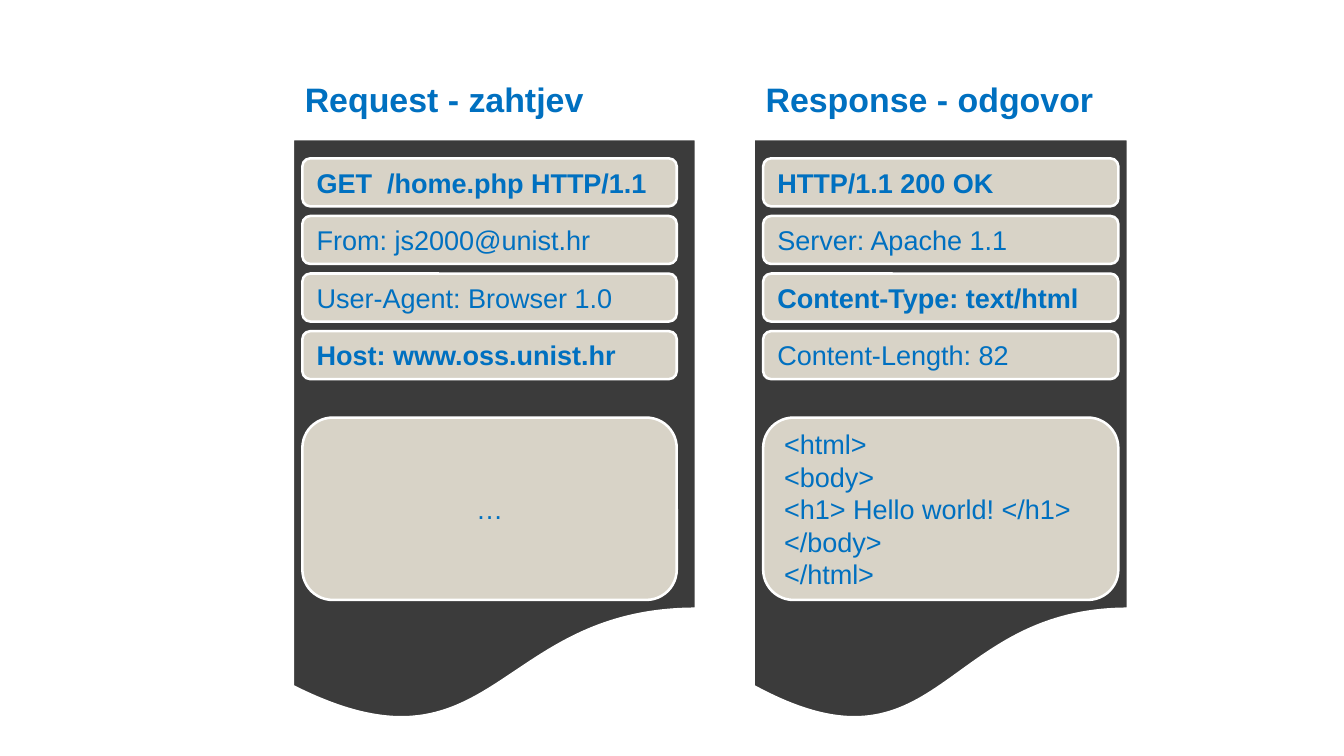
from pptx import Presentation
from pptx.dml.color import RGBColor
from pptx.enum.shapes import MSO_SHAPE as Kind
from pptx.enum.text import MSO_ANCHOR as Anchor, MSO_AUTO_SIZE as Fit, PP_ALIGN as Align
from pptx.util import Cm, Pt

BLUE, DARK, SAND, WHITE = "0070C0", "3B3B3B", "D8D3C7", "FFFFFF"

TOP, PAD = 2.9, 0.2
ROW_TOP, ROW_H, STEP = 3.3, 1, 1.2
BODY_TOP, BODY_H = 8.7, 3.8

# Header lines are (text, bold)
REQUEST = [
    ("GET  /home.php HTTP/1.1", True),
    ("From: js2000@unist.hr", False),
    ("User-Agent: Browser 1.0", False),
    ("Host: www.oss.unist.hr", True),
]
RESPONSE = [
    ("HTTP/1.1 200 OK", True),
    ("Server: Apache 1.1", False),
    ("Content-Type: text/html", True),
    ("Content-Length: 82", False),
]
HTML = ["<html>", "<body>", "<h1> Hello world! </h1>", "</body>", "</html>"]


def color(code):
    return RGBColor.from_string(code)


def write(frame, lines, size, bold=False, align=Align.LEFT):
    """Fill a text frame with one paragraph per line."""
    frame.word_wrap = True
    for i, line in enumerate(lines):
        para = frame.add_paragraph() if i else frame.paragraphs[0]
        para.alignment = align
        run = para.add_run()
        run.text = line
        font = run.font
        font.name, font.size, font.bold = "Arial", Pt(size), bold
        font.color.rgb = color(BLUE)


def add_box(slide, kind, left, top, width, height, fill):
    box = slide.shapes.add_shape(kind, Cm(left), Cm(top), Cm(width), Cm(height))
    box.shadow.inherit = False
    box.fill.solid()
    box.fill.fore_color.rgb = color(fill)
    box.line.color.rgb = color(WHITE)
    box.line.width = Pt(1.5)
    return box


def add_card(slide, left, top, width, height, lines, bold=False, align=Align.LEFT):
    card = add_box(slide, Kind.ROUNDED_RECTANGLE, left, top, width, height, SAND)
    card.text_frame.vertical_anchor = Anchor.MIDDLE
    write(card.text_frame, lines, 16, bold, align)


def add_title(slide, left, width, text):
    box = slide.shapes.add_textbox(Cm(left), Cm(1.51), Cm(width), Cm(1.11))
    write(box.text_frame, [text], 20, True)
    box.text_frame.auto_size = Fit.SHAPE_TO_FIT_TEXT


def add_message(slide, left, width, inner, title, heads, body, align):
    """Draw one HTTP message: title, sheet, header rows and body."""
    add_title(slide, left, width, title)
    add_box(slide, Kind.FLOWCHART_DOCUMENT, left, TOP, width, 12.2, DARK)
    for i, (text, bold) in enumerate(heads):
        add_card(slide, left + PAD, ROW_TOP + i * STEP, inner, ROW_H, [text], bold)
    add_card(slide, left + PAD, BODY_TOP, inner, BODY_H, body, align=align)


def main():
    deck = Presentation()
    deck.slide_width, deck.slide_height = Cm(28), Cm(15.75)
    slide = deck.slides.add_slide(deck.slide_layouts[6])
    add_message(slide, 6.1, 8.4, 7.8, "Request - zahtjev", REQUEST, ["…"], Align.CENTER)
    add_message(slide, 15.7, 7.8, 7.4, "Response - odgovor", RESPONSE, HTML, Align.LEFT)
    deck.save("out.pptx")


if __name__ == "__main__":
    main()
